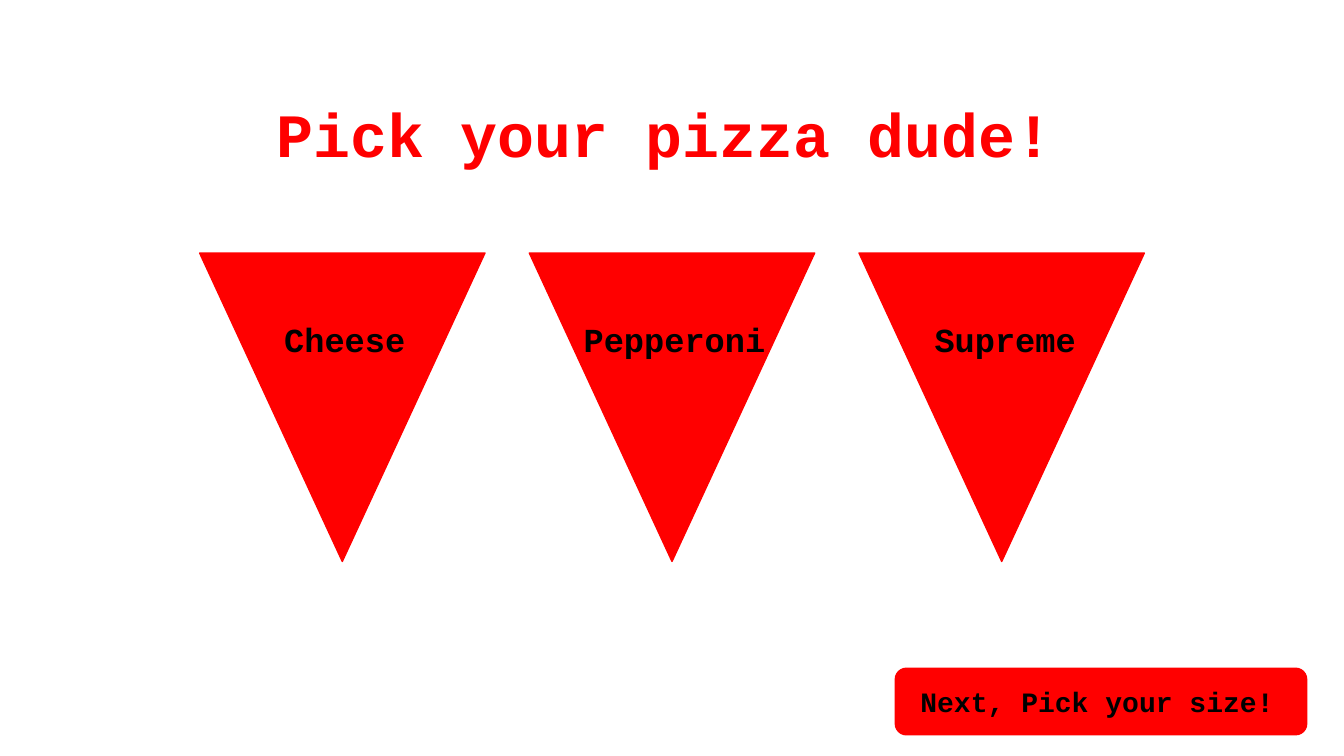
from pptx import Presentation
from pptx.dml.color import RGBColor
from pptx.enum.shapes import MSO_SHAPE
from pptx.util import Inches, Pt

COLORS = {"red": "FF0000", "black": "000000"}
FONT = "Courier New"


def color(name):
    return RGBColor.from_string(COLORS[name])


def add_form(slide, kind, left, top, width, height):
    form = slide.shapes.add_shape(
        kind, Inches(left), Inches(top), Inches(width), Inches(height))
    form.shadow.inherit = False
    form.fill.solid()
    form.fill.fore_color.rgb = color("red")
    form.line.color.rgb = color("red")
    form.line.width = Pt(1)
    return form


def add_label(slide, text, left, top, width, height, size, ink="black"):
    box = slide.shapes.add_textbox(
        Inches(left), Inches(top), Inches(width), Inches(height))
    frame = box.text_frame
    frame.word_wrap = True
    run = frame.paragraphs[0].add_run()
    run.text = text
    run.font.name = FONT
    run.font.size = Pt(size)
    run.font.bold = True
    run.font.color.rgb = color(ink)


def add_title(slide, left, top, width, height):
    add_label(slide, "Pick your pizza dude!", left, top, width, height, 44, "red")


def add_slice(slide, name, inset, left, top, width, height):
    wedge = add_form(slide, MSO_SHAPE.ISOSCELES_TRIANGLE, left, top, width, height)
    wedge.rotation = 180
    add_label(slide, name, left + inset, top + 0.6, width - inset, 0.5, 24)


def add_menu(slide, left, top, width, height):
    # Three equal slices with even gaps; each label has its own inset
    slices = [("Cheese", 0.74), ("Pepperoni", 0.44), ("Supreme", 0.65)]
    gap = 0.44
    side = (width - gap * (len(slices) - 1)) / len(slices)
    for i, (name, inset) in enumerate(slices):
        add_slice(slide, name, inset, left + i * (side + gap), top, side, height)


def add_button(slide, left, top, width, height):
    add_form(slide, MSO_SHAPE.ROUNDED_RECTANGLE, left, top, width, height)
    add_label(slide, "Next, Pick your size!",
              left + 0.15, top + 0.11, width - 0.15, 0.44, 20)


deck = Presentation()
deck.slide_width = Inches(13.33)
deck.slide_height = Inches(7.5)
page = deck.slides.add_slide(deck.slide_layouts[6])

add_title(page, 2.64, 0.9, 10.32, 0.84)
add_menu(page, 1.98, 2.51, 9.37, 3.06)
add_button(page, 8.88, 6.63, 4.08, 0.66)

deck.save("out.pptx")
